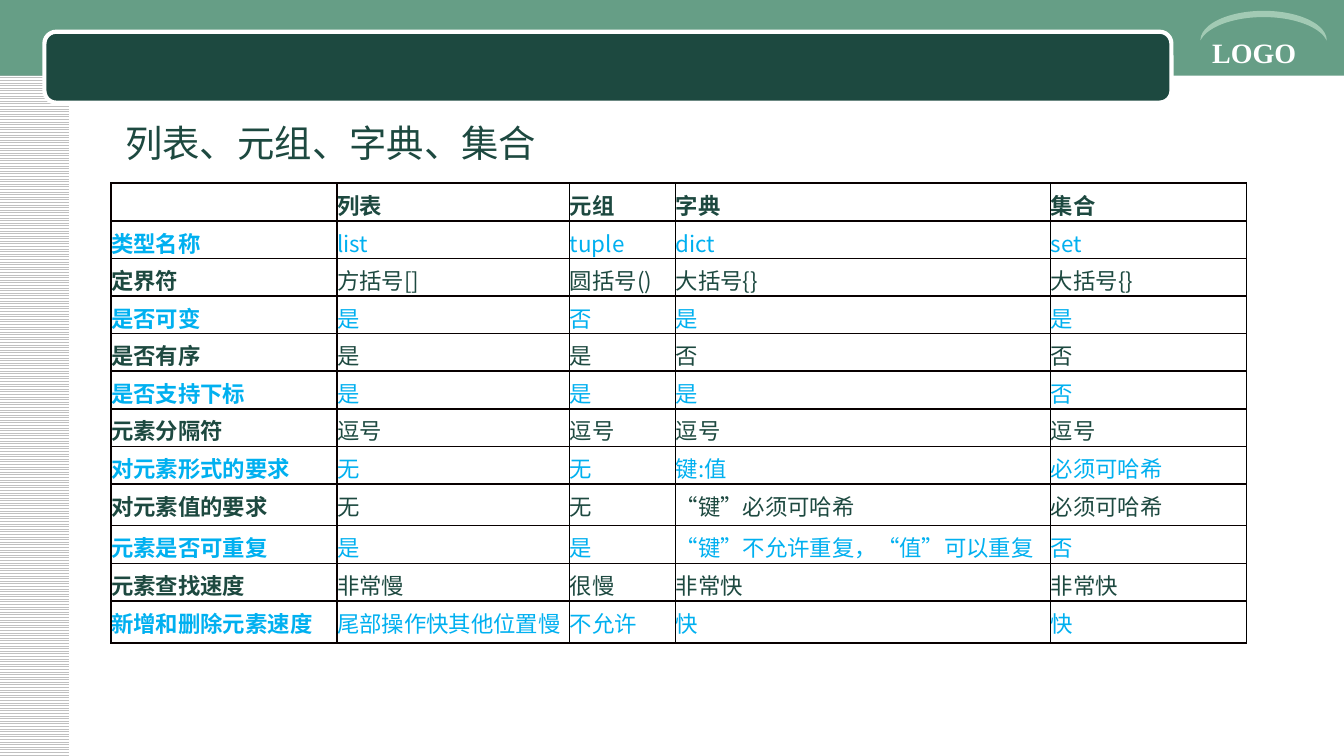
import pptx
import pptx.dml.color
import pptx.enum.dml
import pptx.enum.shapes
import pptx.enum.text
import pptx.oxml
import pptx.oxml.ns
import pptx.util
from pptx.util import Cm, Pt

RGBColor = pptx.dml.color.RGBColor
MSO_SHAPE = pptx.enum.shapes.MSO_SHAPE
PP_ALIGN = pptx.enum.text.PP_ALIGN
MSO_ANCHOR = pptx.enum.text.MSO_ANCHOR

# Content
TITLE = "列表、元组、字典、集合"
LOGO_TEXT = "LOGO"
ROWS = [
    ("", "列表", "元组", "字典", "集合"),
    ("类型名称", "list", "tuple", "dict", "set"),
    ("定界符", "方括号[]", "圆括号()", "大括号{}", "大括号{}"),
    ("是否可变", "是", "否", "是", "是"),
    ("是否有序", "是", "是", "否", "否"),
    ("是否支持下标", "是", "是", "是", "否"),
    ("元素分隔符", "逗号", "逗号", "逗号", "逗号"),
    ("对元素形式的要求", "无", "无", "键:值", "必须可哈希"),
    ("对元素值的要求", "无", "无", "“键”必须可哈希", "必须可哈希"),
    ("元素是否可重复", "是", "是", "“键”不允许重复，“值”可以重复", "否"),
    ("元素查找速度", "非常慢", "很慢", "非常快", "非常快"),
    ("新增和删除元素速度", "尾部操作快其他位置慢", "不允许", "快", "快"),
]

# Sizes, fonts and colours
COLUMN_WIDTHS = [4.27, 4.4, 2.0, 7.09, 3.7]
ROW_HEIGHT = 0.71
TALL_ROW_HEIGHT = 0.79
TALL_ROWS = {8, 11}
TITLE_FONT = "Noto Sans CJK JP"
TABLE_FONT = "Noto Sans CJK SC"
LOGO_FONT = "Times New Roman"
WHITE = RGBColor(0xFF, 0xFF, 0xFF)
GREY = RGBColor(0xC0, 0xC0, 0xC0)
DARK_GREEN = RGBColor(0x1D, 0x49, 0x40)
GREEN = RGBColor(0x66, 0x9E, 0x86)
LIGHT_GREEN = RGBColor(0xA2, 0xCA, 0xB4)
BLUE = RGBColor(0x00, 0xB0, 0xF0)
RULE = RGBColor(0x08, 0x00, 0x00)
BLACK = RGBColor(0, 0, 0)


def add_shape(slide, kind, left, top, width, height, color=None):
    shape = slide.shapes.add_shape(kind, Cm(left), Cm(top), Cm(width), Cm(height))
    shape.shadow.inherit = False
    shape.line.fill.background()
    if color is not None:
        shape.fill.solid()
        shape.fill.fore_color.rgb = color
    return shape


def set_text(text_frame, text, font_name, size, color, bold=False):
    text_frame.text = text
    paragraph = text_frame.paragraphs[0]
    paragraph.alignment = PP_ALIGN.LEFT
    for run in paragraph.runs:
        run.font.name = font_name
        run.font.size = Pt(size)
        run.font.bold = bold
        run.font.color.rgb = color
        east_asian = pptx.oxml.parse_xml(
            f'<a:ea {pptx.oxml.ns.nsdecls("a")} typeface="{font_name}"/>')
        run.font._element.find(pptx.oxml.ns.qn("a:latin")).addnext(east_asian)


def set_borders(cell, borders):
    properties = cell._tc.get_or_add_tcPr()
    for index, (side, color, width) in enumerate(borders):
        properties.insert(index, pptx.oxml.parse_xml(
            f'<a:{side} {pptx.oxml.ns.nsdecls("a")} w="{Pt(width)}">'
            f'<a:solidFill><a:srgbClr val="{color}"/></a:solidFill></a:{side}>'))


def add_background(slide):
    stripes = add_shape(slide, MSO_SHAPE.RECTANGLE, -0.03, 0, 1.34, 14.28)
    stripes.fill.patterned()
    stripes.fill.pattern = pptx.enum.dml.MSO_PATTERN.LIGHT_HORIZONTAL
    stripes.fill.fore_color.rgb = GREY
    stripes.fill.back_color.rgb = WHITE

    add_shape(slide, MSO_SHAPE.RECTANGLE, 0, 0, 25.42, 1.43, GREEN)
    banner = add_shape(slide, MSO_SHAPE.ROUNDED_RECTANGLE, 0.84, 0.6, 21.3, 1.34, DARK_GREEN)
    banner.line.color.rgb = WHITE
    banner.line.width = Pt(2.25)

    logo = slide.shapes.add_textbox(Cm(22.66), Cm(0.53), Cm(2.74), Cm(0.9))
    logo.text_frame.word_wrap = True
    logo.text_frame.vertical_anchor = MSO_ANCHOR.MIDDLE
    set_text(logo.text_frame, LOGO_TEXT, LOGO_FONT, 15, WHITE, bold=True)
    arc = add_shape(slide, MSO_SHAPE.MOON, 23.6, -0.71, 0.56, 2.39, LIGHT_GREEN)
    arc.adjustments[0] = 0.21
    arc.rotation = 90


def add_title(slide):
    title = slide.shapes.title
    title.left, title.top, title.width, title.height = Cm(2.11), Cm(2.13), Cm(17.81), Cm(1.12)
    title.text_frame.auto_size = pptx.enum.text.MSO_AUTO_SIZE.NONE
    title.text_frame.vertical_anchor = MSO_ANCHOR.MIDDLE
    set_text(title.text_frame, TITLE, TITLE_FONT, 20, DARK_GREEN)


def add_comparison_table(slide):
    heights = [TALL_ROW_HEIGHT if row in TALL_ROWS else ROW_HEIGHT for row in range(len(ROWS))]
    table = slide.shapes.add_table(
        len(ROWS), len(COLUMN_WIDTHS), Cm(2.1), Cm(3.46),
        Cm(sum(COLUMN_WIDTHS)), Cm(sum(heights))).table
    table.first_row = False
    table.horz_banding = False
    for column, width in zip(table.columns, COLUMN_WIDTHS):
        column.width = Cm(width)
    for row_index, values in enumerate(ROWS):
        table.rows[row_index].height = Cm(heights[row_index])
        color = BLUE if row_index % 2 else DARK_GREEN
        for column_index, value in enumerate(values):
            cell = table.cell(row_index, column_index)
            cell.margin_left = cell.margin_right = cell.margin_bottom = 0
            cell.margin_top = Cm(0.1)
            cell.fill.background()
            is_heading = row_index == 0 or column_index == 0
            set_text(cell.text_frame, value, TABLE_FONT, 12, color, is_heading)
            if not value:
                cell.text_frame.paragraphs[0].font.size = Pt(12)
            first = column_index == 0
            side = (RULE, 1) if first else (BLACK, 0.75)
            left = (RULE, 1) if column_index < 2 else side
            set_borders(cell, [("lnL", *left), ("lnR", *side),
                               ("lnT", RULE, 1), ("lnB", RULE, 1)])


def main():
    presentation = pptx.Presentation()
    presentation.slide_width = Cm(25.4)
    presentation.slide_height = Cm(14.28)
    slide = presentation.slides.add_slide(presentation.slide_layouts[5])
    slide.background.fill.solid()
    slide.background.fill.fore_color.rgb = WHITE
    add_background(slide)
    add_title(slide)
    add_comparison_table(slide)
    presentation.save("out.pptx")


if __name__ == "__main__":
    main()
